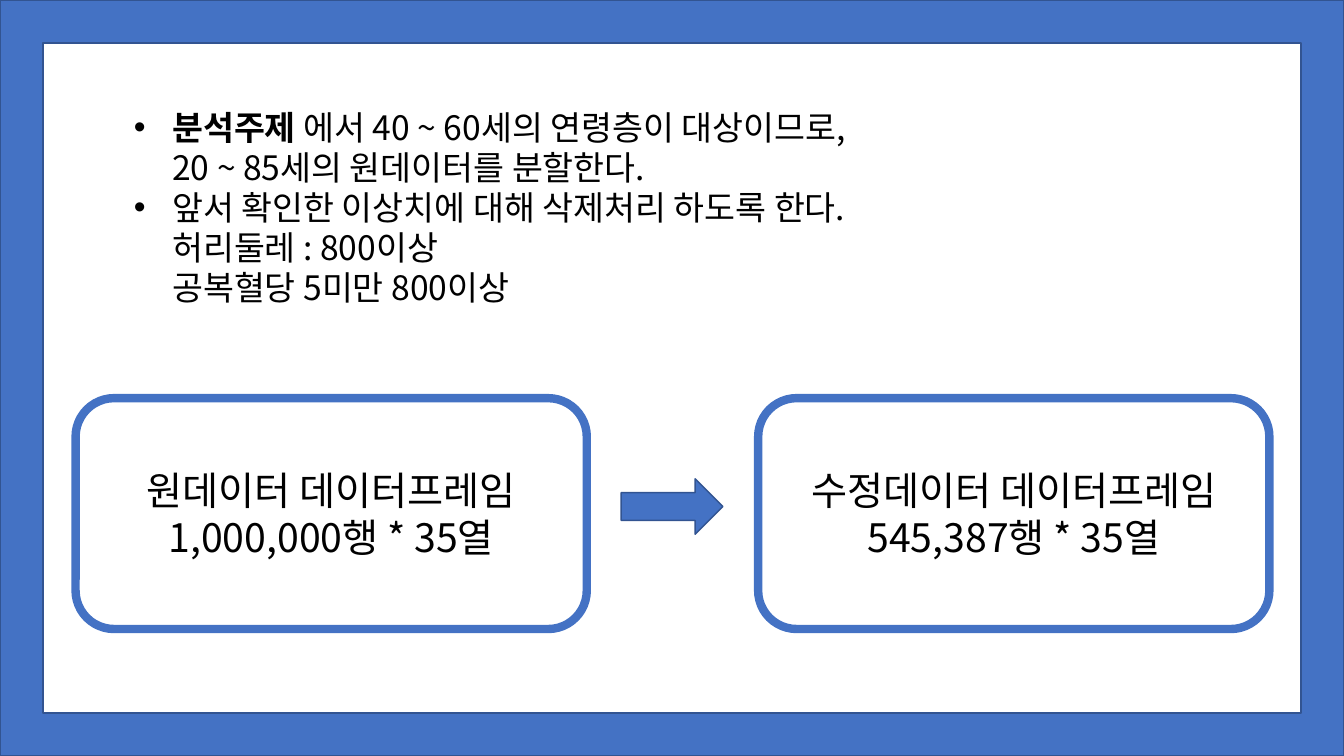
from pptx import Presentation, util as u
from pptx.dml.color import RGBColor
from pptx.enum import shapes, text
from pptx.oxml.ns import qn
from lxml import etree

BLUE = RGBColor(0x44, 0x72, 0xC4)
DARK_BLUE = RGBColor(0x32, 0x54, 0x91)
BLACK = RGBColor(0, 0, 0)
FONT = "Noto Sans CJK KR"
SHAPE = shapes.MSO_SHAPE


class Deck:
    """Hold the slide style and draw the elements of the current slide."""

    def __init__(self, font=FONT, colour=BLACK):
        self.prs = Presentation()
        self.prs.slide_width = u.Inches(13.33)
        self.prs.slide_height = u.Inches(7.5)
        self.font, self.colour = font, colour
        self.s = self.prs.slides.add_slide(self.prs.slide_layouts[6])

    def shape(self, kind, box, line, width, fill=None):
        sp = self.s.shapes.add_shape(kind, *map(u.Inches, box))
        sp.shadow.inherit = False
        if fill is None:
            sp.fill.background()
        else:
            sp.fill.solid()
            sp.fill.fore_color.rgb = fill
        sp.line.color.rgb = line
        sp.line.width = u.Pt(width)
        return sp

    def run(self, p, words, size, bold=False):
        for i, line in enumerate(words.split("\n")):
            if i:
                p.add_line_break()
            r = p.add_run()
            r.text = line
            r.font.name = self.font
            r.font.size = u.Pt(size)
            r.font.bold = bold
            r.font.color.rgb = self.colour
            ea = etree.SubElement(r.font._element, qn("a:ea"))
            ea.set("typeface", self.font)

    def bullets(self, box, items, size, spacing, indent):
        tf = self.s.shapes.add_textbox(*map(u.Inches, box)).text_frame
        tf.word_wrap = True
        for i, runs in enumerate(items):
            p = tf.add_paragraph() if i else tf.paragraphs[0]
            p.line_spacing = u.Pt(spacing)
            pPr = p._p.get_or_add_pPr()
            pPr.set("marL", str(u.Inches(indent)))
            pPr.set("indent", str(-u.Inches(indent)))
            etree.SubElement(pPr, qn("a:buFont")).set("typeface", "Arial")
            etree.SubElement(pPr, qn("a:buChar")).set("char", "•")
            for words, bold in runs:
                self.run(p, words, size, bold)

    def card(self, box, words, size, spacing):
        sp = self.shape(SHAPE.ROUNDED_RECTANGLE, box, BLUE, 6)
        tf = sp.text_frame
        tf.word_wrap = True
        tf.vertical_anchor = text.MSO_ANCHOR.MIDDLE
        p = tf.paragraphs[0]
        p.alignment = text.PP_ALIGN.CENTER
        p.line_spacing = u.Pt(spacing)
        self.run(p, words, size)


def main():
    deck = Deck()
    frame = deck.shape(SHAPE.FRAME, (0, 0, 13.33, 7.5), DARK_BLUE, 1, BLUE)
    frame.adjustments[0] = 0.057
    deck.bullets((1.23, 1.01, 10.83, 2.12), [
        [("분석주제 ", True),
         ("에서 40 ~ 60세의 연령층이 대상이므로, \n20 ~ 85세의 원데이터를 분할한다.", False)],
        [("앞서 확인한 이상치에 대해 삭제처리 하도록 한다.\n"
          "허리둘레 : 800이상\n공복혈당 5미만 800이상", False)],
    ], 24, 28.6, 0.38)
    for left, words in (
        (0.75, "원데이터 데이터프레임 1,000,000행 * 35열"),
        (7.52, "수정데이터 데이터프레임 545,387행 * 35열"),
    ):
        deck.card((left, 3.95, 5.07, 2.29), words, 28, 33.4)
    deck.shape(SHAPE.RIGHT_ARROW, (6.16, 4.75, 1.01, 0.55), DARK_BLUE, 1, BLUE)
    deck.prs.save("out.pptx")


if __name__ == "__main__":
    main()
